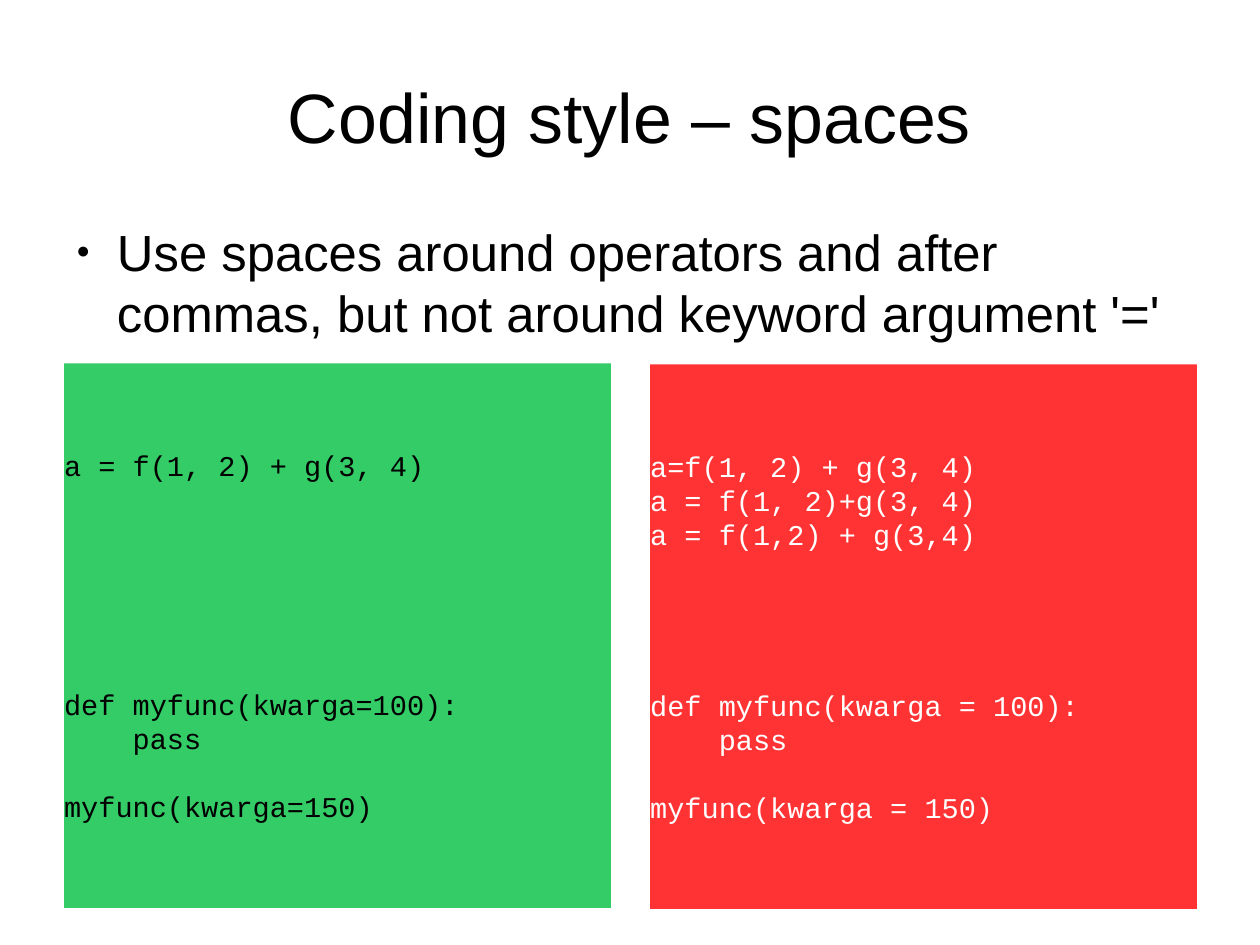
import pptx
import pptx.util
import pptx.dml.color
import pptx.enum.shapes
import pptx.enum.text
import lxml.etree

PX = 9000  # 40 px to the centimetre
COLORS = {"black": "000000", "white": "FFFFFF", "good": "33CC66", "bad": "FF3333"}
CODE_PITCH = 21.5  # points from one code line to the next
ANCHOR = pptx.enum.text.MSO_ANCHOR
ALIGN = pptx.enum.text.PP_ALIGN


def rgb(name):
    return pptx.dml.color.RGBColor.from_string(COLORS[name])


def set_text(s, lines, size, font, color, anchor, align):
    """Fill a shape with one paragraph per line, all formatted alike."""
    tf = s.text_frame
    tf.text = "\n".join(lines)
    tf.word_wrap = True
    tf.vertical_anchor = anchor
    tf.margin_left = tf.margin_top = tf.margin_right = tf.margin_bottom = 0
    for p in tf.paragraphs:
        p.alignment = align
        for r in p.runs:
            r.font.size = pptx.util.Pt(size)
            r.font.name = font
            r.font.color.rgb = rgb(color)
    return tf.paragraphs


prs = pptx.Presentation()
prs.slide_width, prs.slide_height = 1120 * PX, 840 * PX
slide = prs.slides.add_slide(prs.slide_layouts[6])

title = slide.shapes.add_textbox(56 * PX, 33 * PX, 1008 * PX, 140 * PX)
set_text(title, ["Coding style – spaces"], 44, "Arial", "black", ANCHOR.MIDDLE, ALIGN.CENTER)

body = slide.shapes.add_textbox(56 * PX, 196 * PX, 1008 * PX, 487 * PX)
rule = "Use spaces around operators and after commas, but not around keyword argument '='"
p = set_text(body, [rule], 32, "Arial", "black", ANCHOR.TOP, ALIGN.LEFT)[0]
p.line_spacing = pptx.util.Pt(38.4)
p.space_after = pptx.util.Pt(14.2)
pPr = p._p.get_or_add_pPr()
pPr.set("marL", str(48 * PX))
pPr.set("indent", str(-36 * PX))
ns = pptx.oxml.ns.qn
color = lxml.etree.SubElement(pPr, ns("a:buClr"))
lxml.etree.SubElement(color, ns("a:srgbClr"), val=COLORS["black"])
lxml.etree.SubElement(pPr, ns("a:buSzPct"), val="45000")
lxml.etree.SubElement(pPr, ns("a:buFont"), typeface="Arial")
lxml.etree.SubElement(pPr, ns("a:buChar"), char="●")

# Each code line comes with the number of empty lines above it.
panels = [
    (57, 323, "good", "black", [
        ("a = f(1, 2) + g(3, 4)", 0),
        ("def myfunc(kwarga=100):", 6),
        ("    pass", 0),
        ("myfunc(kwarga=150)", 1),
    ]),
    (578, 324, "bad", "white", [
        ("a=f(1, 2) + g(3, 4)", 0),
        ("a = f(1, 2)+g(3, 4)", 0),
        ("a = f(1,2) + g(3,4)", 0),
        ("def myfunc(kwarga = 100):", 4),
        ("    pass", 0),
        ("myfunc(kwarga = 150)", 1),
    ]),
]
for left, top, fill, ink, code in panels:
    s = slide.shapes.add_shape(pptx.enum.shapes.MSO_SHAPE.RECTANGLE,
                               left * PX, top * PX, 486 * PX, 484 * PX)
    s.shadow.inherit = False
    s.fill.solid()
    s.fill.fore_color.rgb = rgb(fill)
    s.line.fill.background()
    lines = [line for line, gap in code]
    paragraphs = set_text(s, lines, 18, "Courier New", ink, ANCHOR.MIDDLE, ALIGN.LEFT)
    for p, (line, gap) in zip(paragraphs, code):
        p.line_spacing = pptx.util.Pt(CODE_PITCH)
        if gap:
            p.space_before = pptx.util.Pt(gap * CODE_PITCH)

prs.save("out.pptx")
